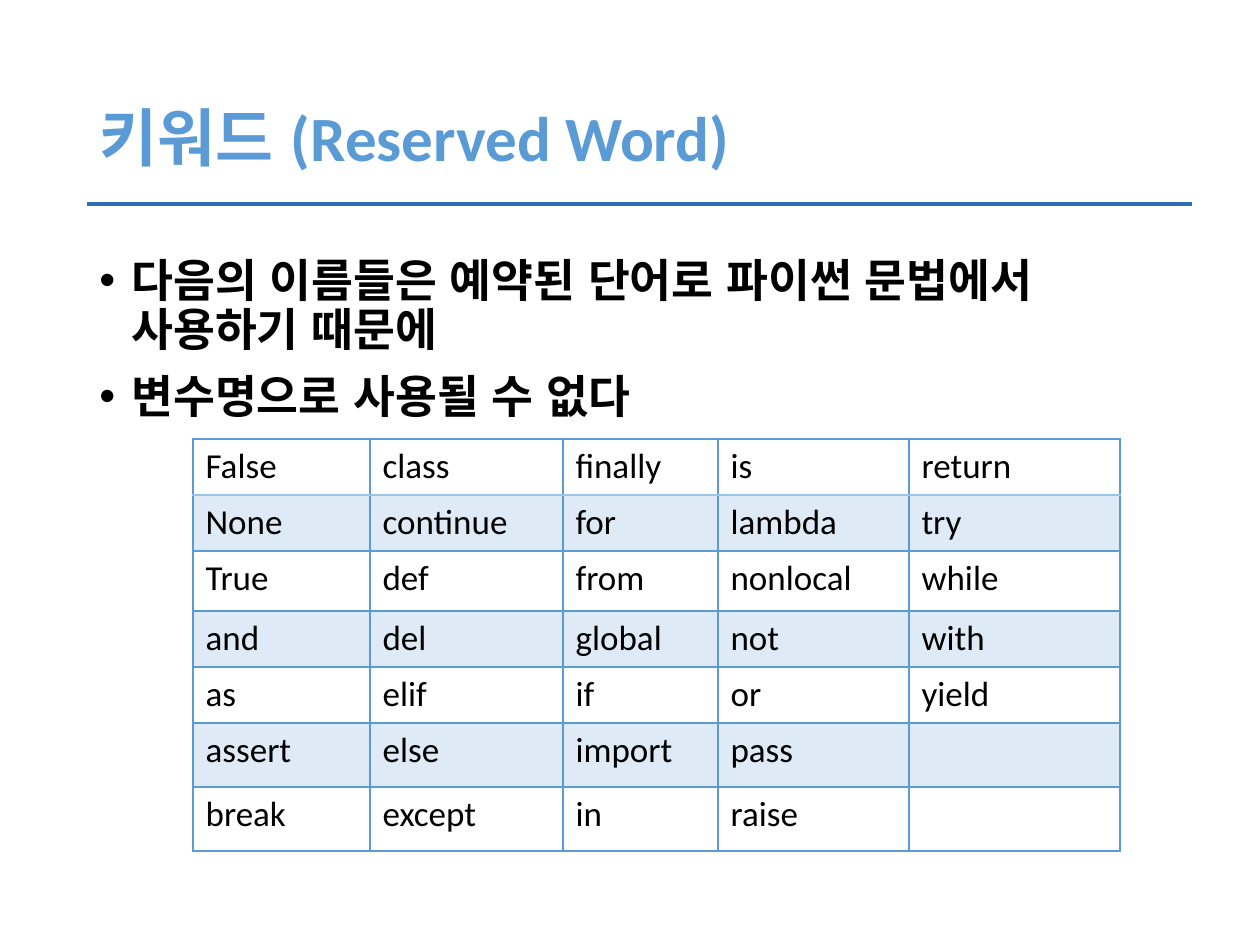
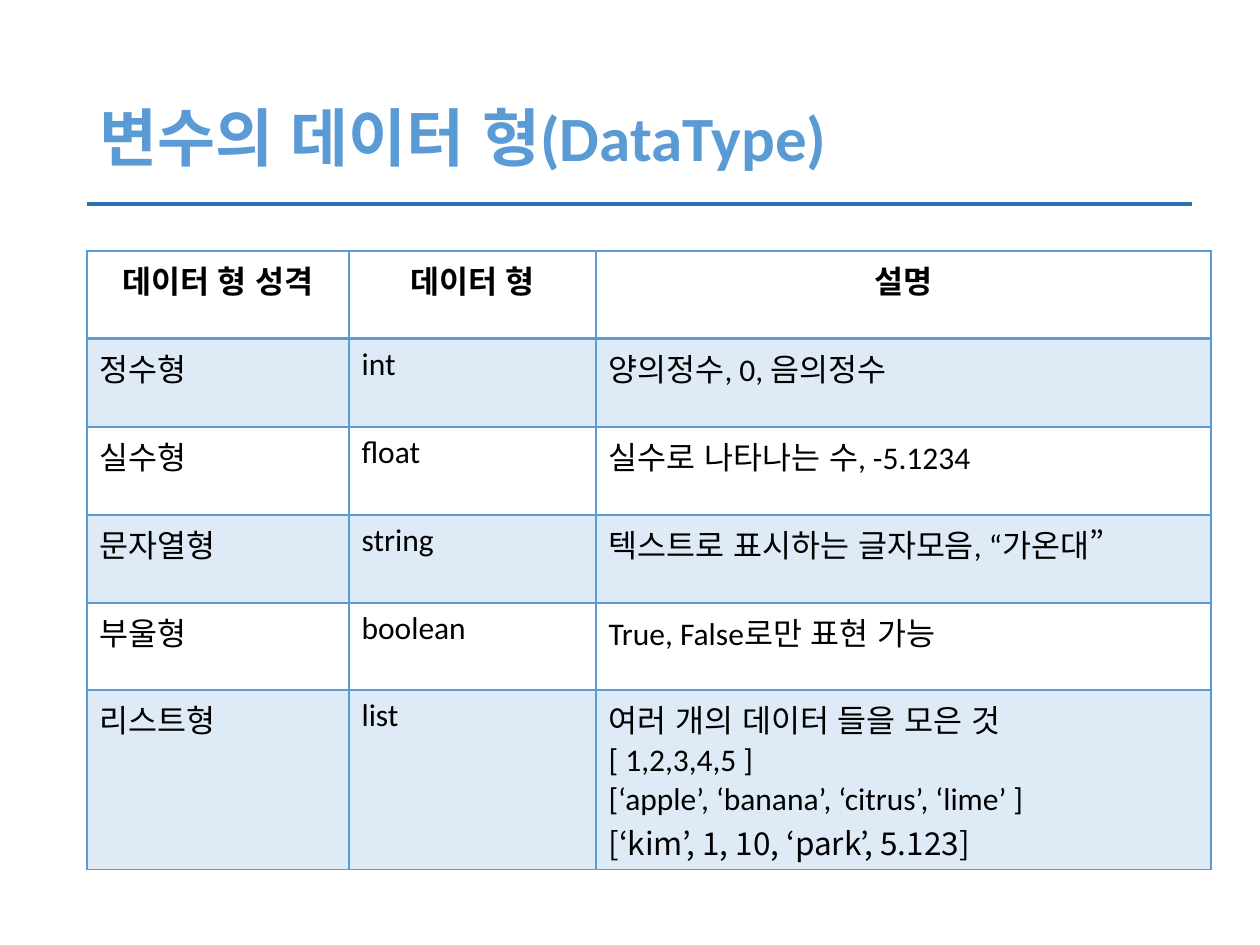
from lxml.etree import Element, SubElement
from pptx import Presentation
from pptx.dml.color import RGBColor
from pptx.enum.lang import MSO_LANGUAGE_ID
from pptx.enum.shapes import MSO_CONNECTOR
from pptx.enum.text import MSO_ANCHOR, PP_ALIGN
from pptx.oxml.ns import qn
from pptx.util import Emu, Pt

PIXEL = 914400 // 126
SLIDE_SIZE = (1260, 945)
TITLE_BOX = (87, 50, 1086, 183)
BODY_BOX = (87, 252, 1086, 600)
RULE_BOX = (87, 204, 1105, 0)
BULLET_INDENT = 32

BLUE = RGBColor(0x5B, 0x9B, 0xD5)
PALE_BLUE = RGBColor(0x9D, 0xC3, 0xE6)
RULE_BLUE = RGBColor(0x2A, 0x6F, 0xB5)
BLACK = RGBColor(0, 0, 0)
BAND_OPACITY = 20

LATIN_FONT = "Calibri"
KOREAN_FONT = "Noto Sans CJK KR"
TITLE_FORMAT = {"size": Pt(36), "bold": True}
BODY_FORMAT = {"size": Pt(26), "bold": True}
KEYWORD_FORMAT = {"size": Pt(20), "bold": False}
TYPE_FORMAT = {"size": Pt(18), "bold": False}
HEADING_FORMAT = {"size": Pt(18), "bold": True}

KEYWORD_ROWS = [
    ["False", "class", "finally", "is", "return"],
    ["None", "continue", "for", "lambda", "try"],
    ["True", "def", "from", "nonlocal", "while"],
    ["and", "del", "global", "not", "with"],
    ["as", "elif", "if", "or", "yield"],
    ["assert", "else", "import", "pass", ""],
    ["break", "except", "in", "raise", ""],
]
MIXED_LIST = "[‘kim’, 1, 10, ‘park’, 5.123]"
TYPE_ROWS = [
    ["데이터 형 성격", "데이터 형", "설명"],
    ["정수형", "int", "양의정수, 0, 음의정수"],
    ["실수형", "float", "실수로 나타나는 수, -5.1234"],
    ["문자열형", "string", "텍스트로 표시하는 글자모음, “가온대”"],
    ["부울형", "boolean", "True, False로만 표현 가능"],
    ["리스트형", "list", "\n".join([
        "여러 개의 데이터 들을 모은 것",
        "[ 1,2,3,4,5 ]",
        "[‘apple’, ‘banana’, ‘citrus’, ‘lime’ ]",
        MIXED_LIST,
    ])],
]


def scaled(lengths):
    """Turn pixel lengths into EMU."""
    return [Emu(length * PIXEL) for length in lengths]


def write(paragraph, text, style, color=BLACK, **layout):
    """Fill one paragraph and apply its paragraph and font values."""
    for name, value in layout.items():
        setattr(paragraph, name, value)
    if not text:
        paragraph.font.size = style["size"]
        return
    run = paragraph.add_run()
    run.text = text
    latin = KOREAN_FONT if text == MIXED_LIST else LATIN_FONT
    values = {**style, "name": latin, "language_id": MSO_LANGUAGE_ID.KOREAN}
    for name, value in values.items():
        setattr(run.font, name, value)
    run.font.color.rgb = color
    SubElement(run.font._element, qn("a:ea"), typeface=KOREAN_FONT)


def add_frame(slide, box, anchor):
    """Add a wrapping text box and return its text frame."""
    frame = slide.shapes.add_textbox(*scaled(box)).text_frame
    frame.word_wrap = True
    frame.vertical_anchor = anchor
    return frame


def add_heading(slide, title):
    """Place the title and the rule under it."""
    frame = add_frame(slide, TITLE_BOX, MSO_ANCHOR.MIDDLE)
    write(frame.paragraphs[0], title, TITLE_FORMAT, BLUE, line_spacing=0.9)
    left, top, width, height = RULE_BOX
    rule = slide.shapes.add_connector(
        MSO_CONNECTOR.STRAIGHT,
        *scaled((left + width, top, left, top + height)))
    rule.line.color.rgb = RULE_BLUE
    rule.line.width = Pt(2.25)
    SubElement(rule._element.spPr, qn("a:effectLst"))


def add_bullets(slide, box, points):
    """Place the bulleted points in the box."""
    frame = add_frame(slide, box, MSO_ANCHOR.TOP)
    for index, point in enumerate(points):
        paragraph = frame.add_paragraph() if index else frame.paragraphs[0]
        write(paragraph, point, BODY_FORMAT,
              line_spacing=0.9, space_before=Pt(10))
        properties = paragraph._p.get_or_add_pPr()
        indent = BULLET_INDENT * PIXEL
        properties.set("marL", str(indent))
        properties.set("indent", str(-indent))
        SubElement(properties, qn("a:buFont"), typeface="Arial")
        SubElement(properties, qn("a:buChar"), char="•")


def paint_cell(cell, banded, borders):
    """Set the band fill and the left, right, top and bottom borders."""
    if banded:
        cell.fill.solid()
        cell.fill.fore_color.rgb = BLUE
        tint = cell._tc.tcPr.find(".//" + qn("a:srgbClr"))
        SubElement(tint, qn("a:alpha"), val=str(BAND_OPACITY * 1000))
    else:
        cell.fill.background()
    for index, (side, (color, points)) in enumerate(zip("LRTB", borders)):
        border = Element(qn(f"a:ln{side}"), w=str(Pt(points)))
        paint = SubElement(border, qn("a:solidFill"))
        SubElement(paint, qn("a:srgbClr"), val=str(color))
        cell._tc.tcPr.insert(index, border)


def add_grid(slide, corner, widths, heights, rows, style,
             header_border, heading_style=None):
    """Place a banded table with its own border under the first row."""
    box = (*corner, sum(widths), sum(heights))
    table = slide.shapes.add_table(len(rows), len(widths), *scaled(box)).table
    table.first_row = table.horz_banding = False
    for column, width in zip(table.columns, scaled(widths)):
        column.width = width
    for row, height in zip(table.rows, scaled(heights)):
        row.height = height
    edge = (BLUE, 1)
    for row_index, texts in enumerate(rows):
        is_heading = row_index == 0 and heading_style is not None
        top = header_border if row_index == 1 else edge
        bottom = header_border if row_index == 0 else edge
        for column_index, text in enumerate(texts):
            cell = table.cell(row_index, column_index)
            frame = cell.text_frame
            for index, line in enumerate(text.split("\n")):
                paragraph = (frame.add_paragraph() if index
                             else frame.paragraphs[0])
                write(paragraph, line, heading_style if is_heading else style,
                      alignment=PP_ALIGN.CENTER if is_heading
                      else PP_ALIGN.LEFT)
            paint_cell(cell, row_index % 2 == 1, (edge, edge, top, bottom))


def build_keywords(slide):
    """Build the slide of reserved words."""
    add_heading(slide, "키워드 (Reserved Word)")
    add_bullets(slide, BODY_BOX, [
        "다음의 이름들은 예약된 단어로 파이썬 문법에서 사용하기 때문에",
        "변수명으로 사용될 수 없다",
    ])
    add_grid(slide, (193, 439), (177, 193, 155, 191, 211),
             (56, 56, 60, 56, 56, 64, 64), KEYWORD_ROWS, KEYWORD_FORMAT,
             (PALE_BLUE, 1))


def build_types(slide):
    """Build the slide of data types."""
    add_heading(slide, "변수의 데이터 형(DataType)")
    add_grid(slide, (87, 251), (262, 247, 615), (88, 88, 88, 88, 87, 180),
             TYPE_ROWS, TYPE_FORMAT, (BLUE, 2), HEADING_FORMAT)


presentation = Presentation()
presentation.slide_width, presentation.slide_height = scaled(SLIDE_SIZE)
for build in (build_keywords, build_types):
    build(presentation.slides.add_slide(presentation.slide_layouts[6]))
presentation.save("out.pptx")
